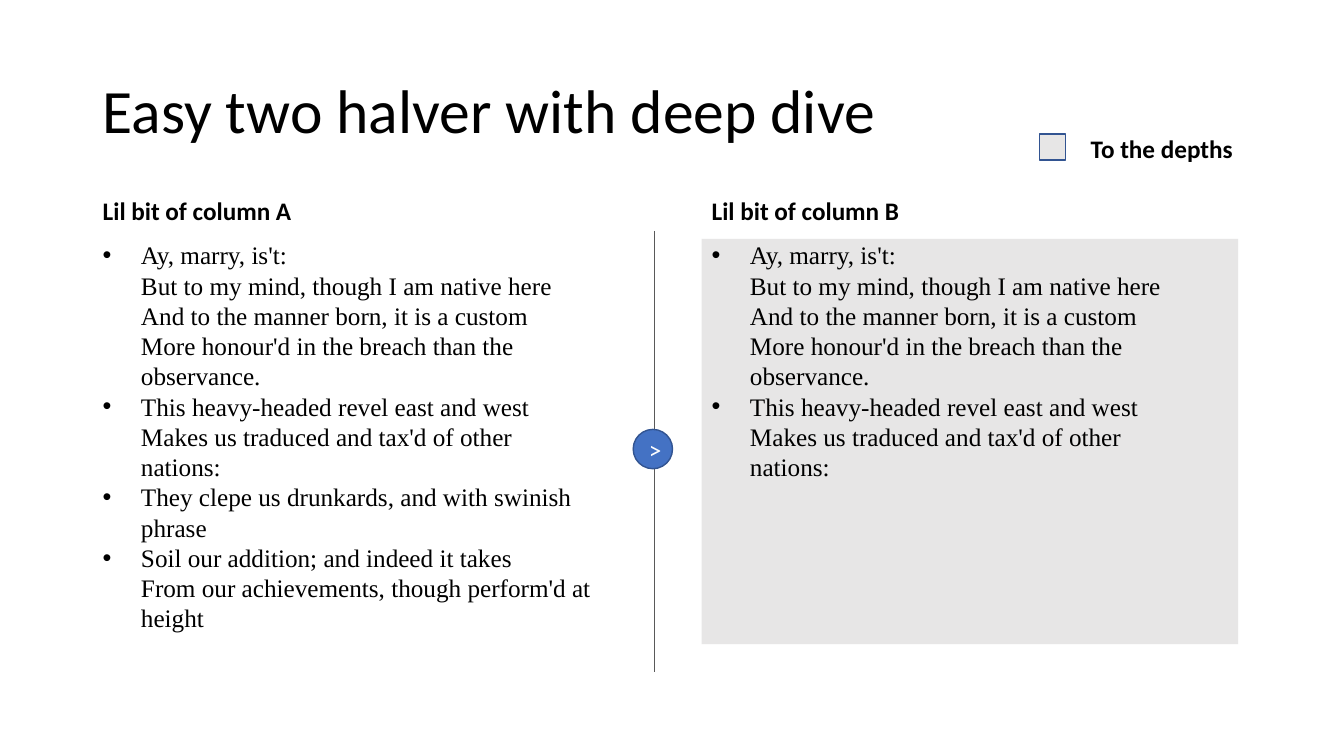
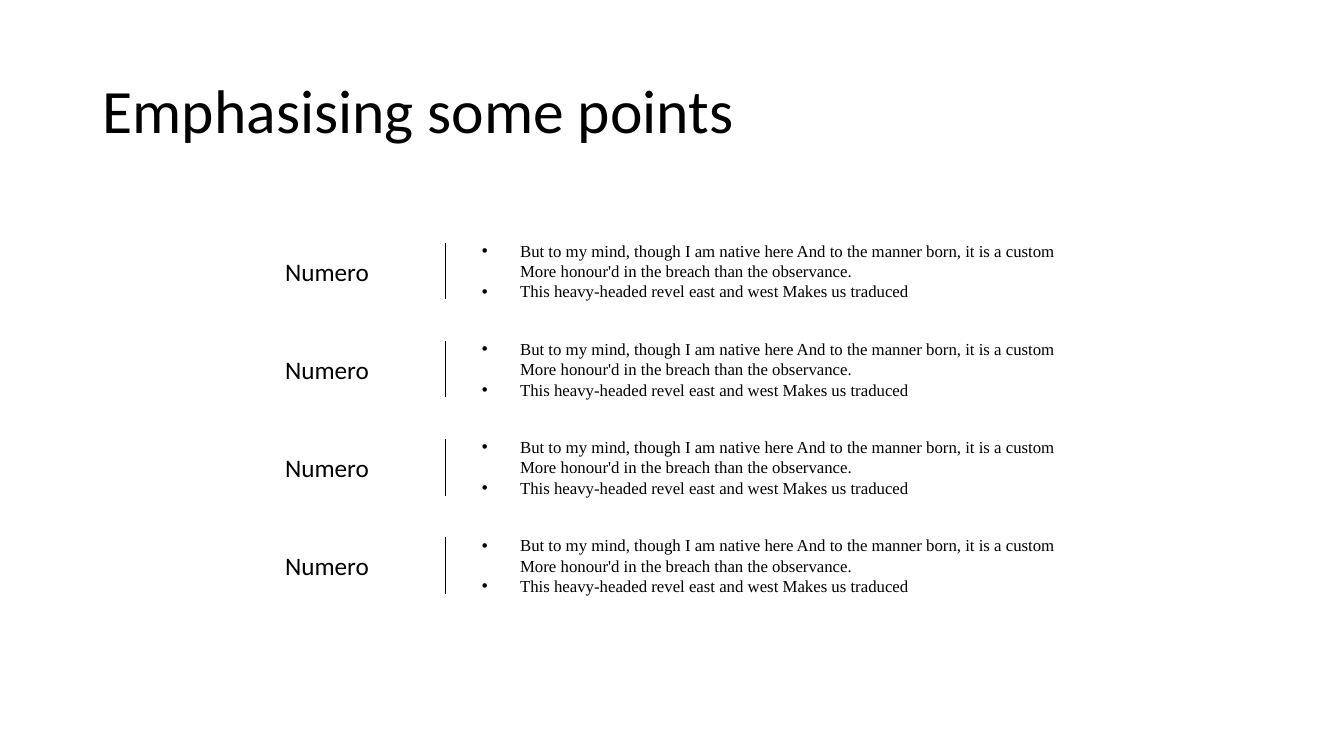
from lxml import etree
from pptx import Presentation
from pptx.dml.color import RGBColor
from pptx.enum.shapes import MSO_CONNECTOR, MSO_SHAPE
from pptx.enum.text import MSO_ANCHOR, PP_ALIGN
from pptx.oxml.ns import qn
from pptx.util import Inches, Pt

RECT, OVAL = MSO_SHAPE.RECTANGLE, MSO_SHAPE.OVAL
STRAIGHT = MSO_CONNECTOR.STRAIGHT
TOP, MIDDLE = MSO_ANCHOR.TOP, MSO_ANCHOR.MIDDLE
CENTER = PP_ALIGN.CENTER

COLORS = {
    "text": "000000",
    "panel": "E7E6E6",
    "accent": "4472C4",
    "outline": "325491",
    "divider": "595959",
    "white": "FFFFFF",
}
SANS, SERIF = "Calibri", "Times New Roman"


def rgb(name):
    return RGBColor.from_string(COLORS[name])


class Deck:
    """Holds the shared style and the current slide."""

    def __init__(self):
        self.prs = Presentation()
        self.prs.slide_width = Inches(13.33)
        self.prs.slide_height = Inches(7.5)
        self.slide = None

    def new_slide(self, title):
        self.slide = self.prs.slides.add_slide(self.prs.slide_layouts[6])
        p = self.text(title, 0.92, 0.4, 11.5, 1.45, size=44, anchor=MIDDLE)
        p.line_spacing = 0.9

    def style(self, p, size, font=SANS, bold=False, color="text"):
        p.font.size = Pt(size)
        p.font.name = font
        p.font.bold = bold
        p.font.color.rgb = rgb(color)

    def box(self, x, y, w, h, anchor=TOP):
        sp = self.slide.shapes.add_textbox(Inches(x), Inches(y), Inches(w), Inches(h))
        tf = sp.text_frame
        tf.word_wrap = True
        tf.vertical_anchor = anchor
        return tf

    def text(self, text, x, y, w, h=0.4, size=18, bold=False, anchor=TOP):
        p = self.box(x, y, w, h, anchor).paragraphs[0]
        p.text = text
        self.style(p, size, bold=bold)
        return p

    def bullets(self, items, x, y, w, h, size):
        tf = self.box(x, y, w, h)
        for i, item in enumerate(items):
            p = tf.add_paragraph() if i else tf.paragraphs[0]
            p.text = item
            self.style(p, size, SERIF)
            # Hanging indent and bullet; both belong before the font defaults
            pPr = p._p.get_or_add_pPr()
            pPr.set("marL", str(Inches(0.38)))
            pPr.set("indent", str(-Inches(0.38)))
            bu_font = etree.Element(qn("a:buFont"), typeface="Arial")
            bu_char = etree.Element(qn("a:buChar"), char="•")
            pPr.insert(0, bu_font)
            pPr.insert(1, bu_char)

    def shape(self, kind, x, y, w, h, fill, outline=None):
        sp = self.slide.shapes.add_shape(kind, Inches(x), Inches(y), Inches(w), Inches(h))
        sp.shadow.inherit = False
        sp.fill.solid()
        sp.fill.fore_color.rgb = rgb(fill)
        if outline:
            sp.line.color.rgb = rgb(outline)
            sp.line.width = Pt(1)
        else:
            sp.line.fill.background()
        return sp

    def badge(self, text, x, y, size):
        sp = self.shape(OVAL, x, y, size, size, "accent", "outline")
        sp.text_frame.vertical_anchor = MIDDLE
        p = sp.text_frame.paragraphs[0]
        p.text = text
        p.alignment = CENTER
        self.style(p, 18, color="white")

    def vline(self, x, y, h, color="text"):
        line = self.slide.shapes.add_connector(
            STRAIGHT, Inches(x), Inches(y), Inches(x), Inches(y + h))
        line.line.color.rgb = rgb(color)
        line.line.width = Pt(0.5)
        etree.SubElement(line._element.spPr, qn("a:effectLst"))


VERSES = [
    "Ay, marry, is't:\nBut to my mind, though I am native here\n"
    "And to the manner born, it is a custom\n"
    "More honour'd in the breach than the observance.",
    "This heavy-headed revel east and west\n"
    "Makes us traduced and tax'd of other nations:",
    "They clepe us drunkards, and with swinish phrase",
    "Soil our addition; and indeed it takes\n"
    "From our achievements, though perform'd at height",
]
POINTS = [
    "But to my mind, though I am native here And to the manner born, it is a custom\n"
    "More honour'd in the breach than the observance.",
    "This heavy-headed revel east and west Makes us traduced",
]


def two_halves(deck):
    deck.new_slide("Easy two halver with deep dive")
    deck.shape(RECT, 6.96, 2.37, 5.32, 4.02, "panel")

    # Columns
    columns = [("A", 0.92, VERSES, 4.34), ("B", 6.96, VERSES[:2], 3.13)]
    for letter, x, verses, h in columns:
        deck.text(f"Lil bit of column {letter}", x, 1.89, 2.82, bold=True)
        deck.bullets(verses, x, 2.33, 5.09, h, 18)

    # Legend
    deck.shape(RECT, 10.31, 1.33, 0.26, 0.26, "panel", "outline")
    deck.text("To the depths", 10.72, 1.27, 1.7, bold=True)

    # Divider with arrow badge
    deck.vline(6.49, 2.29, 4.38, "divider")
    deck.badge(">", 6.28, 4.26, 0.39)


def emphasised_points(deck):
    deck.new_slide("Emphasising some points")
    rows, first, last = 4, 2.34, 5.26
    for i in range(rows):
        y = first + i * (last - first) / (rows - 1)
        deck.text("Numero", 2.73, y + 0.15, 1.07)
        deck.vline(4.42, y + 0.07, 0.56)
        deck.bullets(POINTS, 4.68, y, 6.75, 0.71, 12)


def main():
    deck = Deck()
    two_halves(deck)
    emphasised_points(deck)
    deck.prs.save("out.pptx")


if __name__ == "__main__":
    main()
